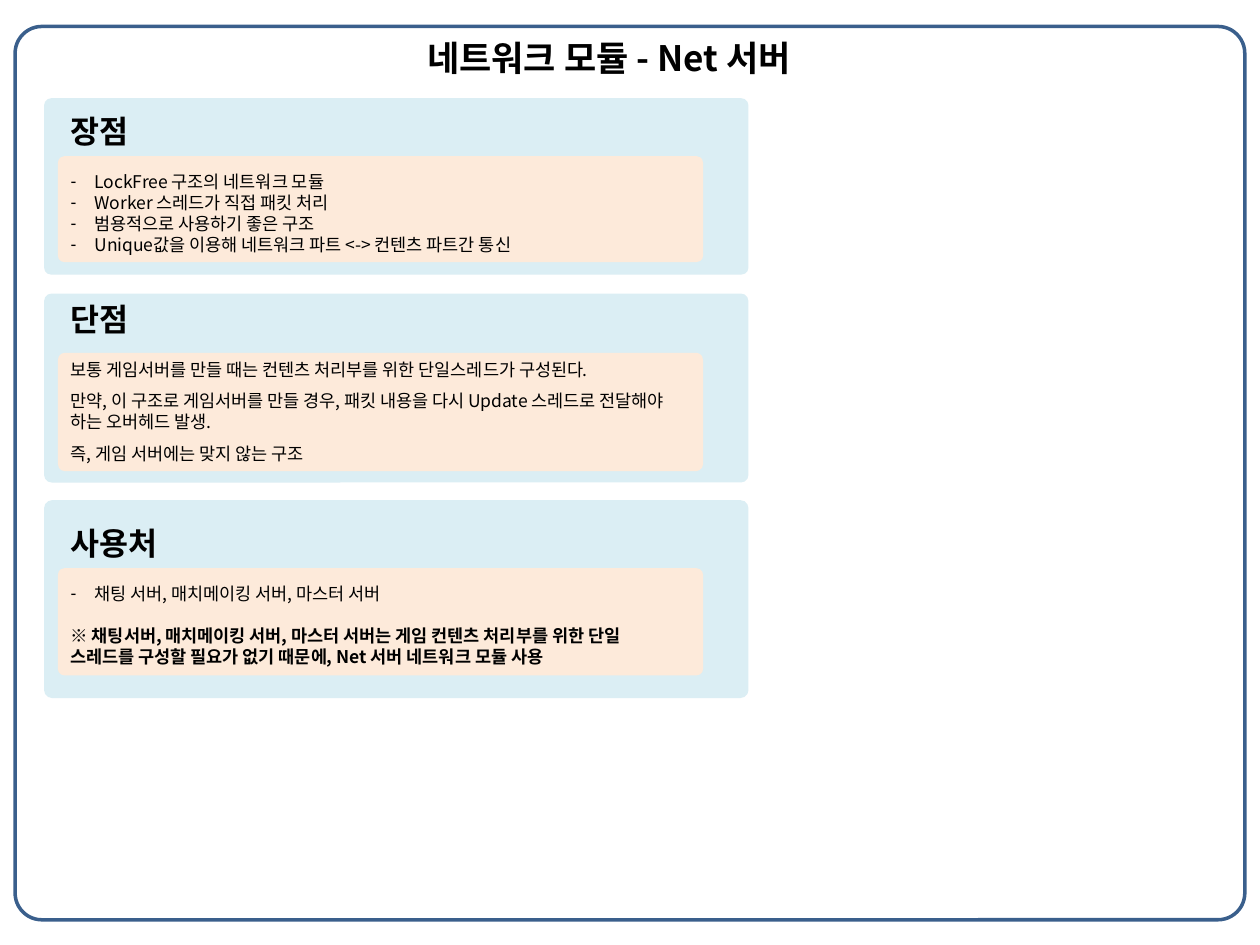
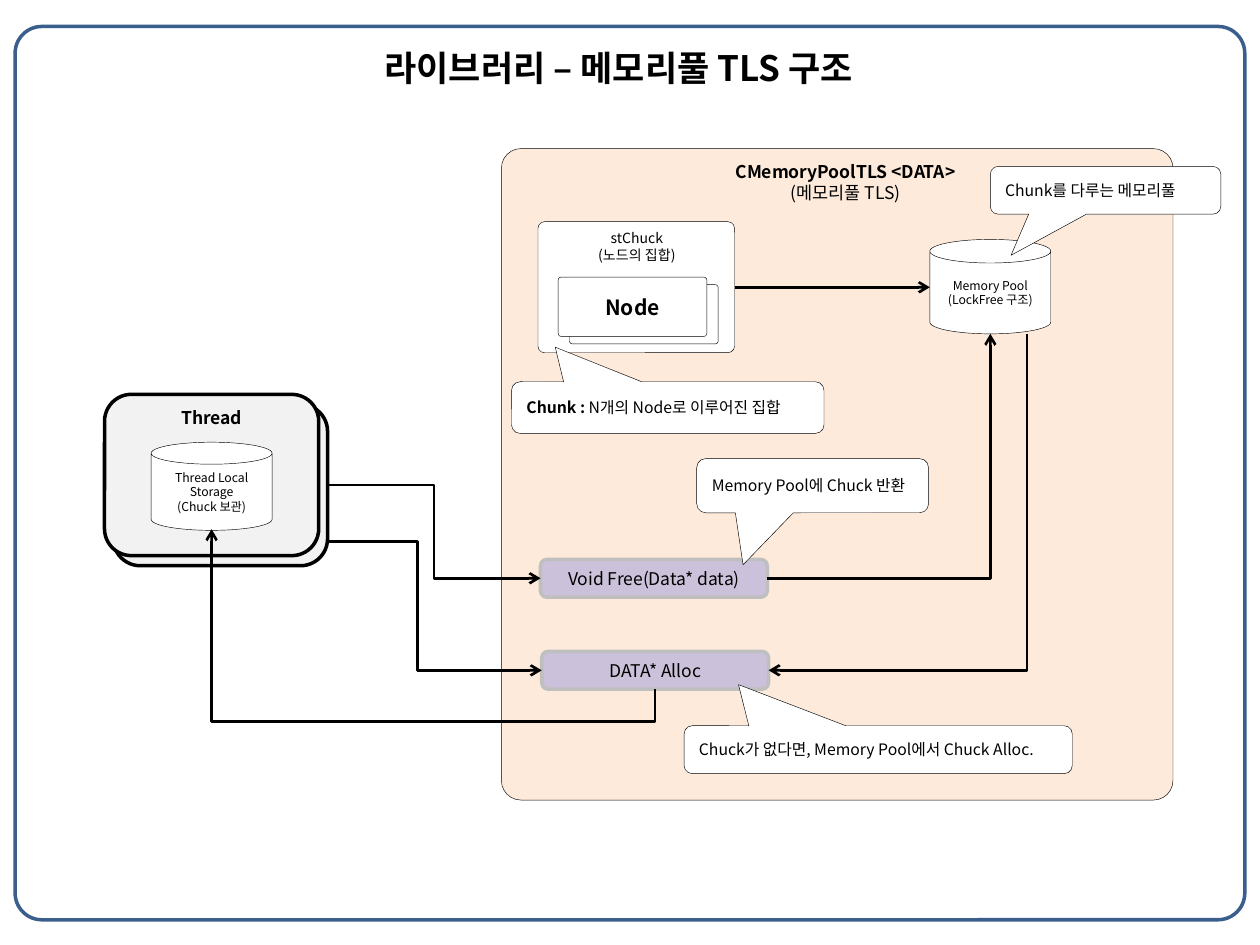
from lxml import etree
from pptx import Presentation
from pptx import util as u
from pptx.dml.color import RGBColor
from pptx.enum import shapes, text
from pptx.oxml.ns import qn

FONT = "Noto Sans CJK KR"
INK = {
    "text": "000000", "white": "FFFFFF", "frame": "3A5F8C", "sky": "DBEEF4",
    "peach": "FDEADA", "gray": "F2F2F2", "lilac": "CCC1DA", "edge": "BFBFBF",
}
KIND = shapes.MSO_SHAPE
ROUND, CAN, CALL = KIND.ROUNDED_RECTANGLE, KIND.CAN, KIND.ROUNDED_RECTANGULAR_CALLOUT
LEFT, MID = text.PP_ALIGN.LEFT, text.PP_ALIGN.CENTER
TOP, CORE = text.MSO_ANCHOR.TOP, text.MSO_ANCHOR.MIDDLE

# Text before "|" is bold; each line is (text, size, space before, dash).
PANELS = [
    {"back": (0.78, 1.4), "card": (1.24, 0.84), "body": (0.84, 1.25), "lines": [
        ("장점|", 18, 0, False),
        ("LockFree 구조의 네트워크 모듈", 10, 12, True),
        ("Worker 스레드가 직접 패킷 처리", 10, 0, True),
        ("범용적으로 사용하기 좋은 구조", 10, 0, True),
        ("Unique값을 이용해 네트워크 파트 <-> 컨텐츠 파트간 통신", 10, 0, True)]},
    {"back": (2.33, 1.5), "card": (2.8, 0.94), "body": (2.33, 1.58), "lines": [
        ("단점|", 18, 0, False),
        ("보통 게임서버를 만들 때는 컨텐츠 처리부를 위한 단일스레드가 구성된다.", 10, 12, False),
        ("만약, 이 구조로 게임서버를 만들 경우, 패킷 내용을 다시 Update 스레드로 "
         "전달해야 하는 오버헤드 발생.", 10, 6, False),
        ("즉, 게임 서버에는 맞지 않는 구조", 10, 6, False)]},
    {"back": (3.97, 1.57), "card": (4.51, 0.85), "body": (4.11, 1.25), "lines": [
        ("사용처|", 18, 0, False),
        ("채팅 서버, 매치메이킹 서버, 마스터 서버", 10, 12, True),
        ("※ 채팅서버, 매치메이킹 서버, 마스터 서버는 게임 컨텐츠 처리부를 위한 단일 "
         "스레드를 구성할 필요가 없기 때문에, Net 서버 네트워크 모듈 사용|", 10, 12, False)]},
]

THREADS = [(0.9, 3.21, 1.7, 1.28), (0.83, 3.13, 1.7, 1.28)]
POOL = (3.98, 1.18, 5.33, 5.17)
CHUNK = (4.27, 1.76, 1.56, 1.04)
NODES = [((4.52, 2.26, 1.18, 0.47), []), ((4.43, 2.2, 1.18, 0.47), ["Node|"])]
CANS = [
    ((1.2, 3.51, 0.96, 0.7), ["Thread Local Storage", "(Chuck 보관)"]),
    ((7.38, 1.9, 0.96, 0.75), ["Memory Pool", "(LockFree 구조)"]),
]
CALLS = [
    ((4.3, 5.17, 1.8, 0.3), "DATA* Alloc"),
    ((4.29, 4.44, 1.8, 0.3), "Void Free(Data* data)"),
]
LABELS = [
    ((1.34, 3.18, 0.78, 0.27), ["Thread|"], 10, LEFT),
    ((5.7, 1.23, 2.02, 0.44), ["CMemoryPoolTLS <DATA>|", "(메모리풀 TLS)"], 10, MID),
    ((4.62, 1.77, 0.87, 0.37), ["stChuck", "(노드의 집합)"], 8, MID),
]
NOTES = [
    ((5.43, 5.76, 3.08, 0.38), (-0.36, -1.36), "Chuck가 없다면, Memory Pool에서 Chuck Alloc."),
    ((5.53, 3.64, 1.84, 0.43), (-0.3, 1.46), "Memory Pool에 Chuck 반환"),
    ((4.06, 3.03, 2.48, 0.41), (-0.36, -1.17), "Chunk : |N개의 Node로 이루어진 집합"),
    ((7.86, 1.32, 1.83, 0.38), (-0.41, 1.36), "Chunk를 다루는 메모리풀"),
]
LINKS = [
    ((2.6, 4.3), (4.3, 5.32), "bentConnector3", 0.42, False),
    ((2.6, 3.85), (4.29, 4.59), "bentConnector3", 0.5, False),
    ((5.2, 5.47), (1.68, 4.2), "bentConnector3", -0.2, True),
    ((6.09, 4.59), (7.86, 2.65), "bentConnector2", None, False),
    ((8.15, 2.65), (6.1, 5.32), "bentConnector2", None, True),
    ((5.83, 2.28), (7.38, 2.28), "line", None, False),
]


def color(name):
    return RGBColor.from_string(INK[name])


def add(node, tag, **attrs):
    return etree.SubElement(node, qn(tag), attrs)


def write(frame, lines, align=LEFT, anchor=TOP, wrap=True):
    frame.word_wrap = wrap
    frame.auto_size = text.MSO_AUTO_SIZE.NONE
    frame.vertical_anchor = anchor
    frame.margin_left = frame.margin_right = u.Inches(0.1)
    frame.margin_top = frame.margin_bottom = u.Inches(0.05)
    for i, (words, size, gap, dash) in enumerate(lines):
        par = frame.add_paragraph() if i else frame.paragraphs[0]
        props = par._p.get_or_add_pPr()
        step = u.Inches(0.19) if dash else 0
        props.set("marL", str(step))
        props.set("indent", str(-step))
        if dash:
            add(props, "a:buChar", char="-")
        else:
            add(props, "a:buNone")
        par.alignment = align
        par.space_before, par.space_after = u.Pt(gap), u.Pt(0)
        par.line_spacing = u.Pt(size * 1.2)
        bold, _, plain = words.rpartition("|")
        for part, heavy in ((bold, True), (plain, False)):
            if part:
                run = par.add_run()
                run.text = part
                run.font.size, run.font.bold = u.Pt(size), heavy
                run.font.color.rgb = color("text")
                run.font.name = FONT
                add(run._r.get_or_add_rPr(), "a:ea", typeface=FONT)


def plain(lines, size):
    return [(line, size, 0, False) for line in lines]


def place(shape, box):
    shape.left, shape.top, shape.width, shape.height = map(u.Inches, box)


def draw(slide, kind, box, fill=None, edge=None, width=0.25, adj=()):
    shape = slide.shapes.add_shape(kind, *map(u.Inches, box))
    shape.shadow.inherit = False
    if fill:
        shape.fill.solid()
        shape.fill.fore_color.rgb = color(fill)
    else:
        shape.fill.background()
    if edge:
        shape.line.color.rgb = color(edge)
        shape.line.width = u.Pt(width)
    else:
        shape.line.fill.background()
    for i, share in enumerate(adj):
        shape.adjustments[i] = share
    return shape


def link(slide, start, end, kind, bend, turned):
    dx, dy = end[0] - start[0], end[1] - start[1]
    mx, my = (start[0] + end[0]) / 2, (start[1] + end[1]) / 2
    if turned:
        dx, dy = dy, -dx
    ends = (mx - dx / 2, my - dy / 2, mx + dx / 2, my + dy / 2)
    line = slide.shapes.add_connector(shapes.MSO_CONNECTOR.ELBOW, *map(u.Inches, ends))
    line.line.color.rgb = color("text")
    line.line.width = u.Pt(1.5)
    props = line._element.spPr
    if turned:
        props.find(qn("a:xfrm")).set("rot", "5400000")
    geom = props.find(qn("a:prstGeom"))
    geom.set("prst", kind)
    if bend is not None:
        add(geom.find(qn("a:avLst")), "a:gd", name="adj1", fmla=f"val {round(bend * 100000)}")
    add(props.find(qn("a:ln")), "a:tailEnd", type="arrow")
    add(props, "a:effectLst")


def begin(deck, layout, title, box):
    slide = deck.slides.add_slide(deck.slide_layouts[layout])
    place(slide.shapes.title, box)
    write(slide.shapes.title.text_frame, plain([title + "|"], 20))
    draw(slide, ROUND, (0.12, 0.21, 9.76, 7.09), None, "frame", 2, [0.03])
    return slide


def review(deck):
    slide = begin(deck, 4, "네트워크 모듈 - Net 서버", (3.29, 0.24, 3.44, 0.44))
    bodies = list(slide.placeholders)[1:]
    for panel, body in zip(PANELS, bodies):
        (y, h), (top, high), (head, tall) = panel["back"], panel["card"], panel["body"]
        draw(slide, ROUND, (0.35, y, 5.59, h), "sky", adj=[0.04])
        draw(slide, ROUND, (0.46, top, 5.12, high), "peach", adj=[0.06])
        place(body, (0.46, head, 5.01, tall))
        write(body.text_frame, panel["lines"])
        slide.shapes._spTree.append(body._element)
    for spare in bodies[len(PANELS):]:
        slide.shapes._spTree.remove(spare._element)


def memory(deck):
    slide = begin(deck, 5, "라이브러리 – 메모리풀 TLS 구조", (2.95, 0.32, 4.29, 0.44))
    for box in THREADS:
        draw(slide, ROUND, box, "gray", "text", 2)
    draw(slide, ROUND, POOL, "peach", "text", adj=[0.03])
    draw(slide, ROUND, CHUNK, "white", "text", adj=[0.05])
    for box, lines in NODES:
        node = draw(slide, ROUND, box, "white", "text", adj=[0.05])
        write(node.text_frame, plain(lines, 12), MID, CORE)
    for box, lines in CANS:
        can = draw(slide, CAN, box, "white", "text")
        write(can.text_frame, plain(lines, 7), MID, CORE)
    for box, words in CALLS:
        call = draw(slide, ROUND, box, "lilac", "edge", 2)
        write(call.text_frame, plain([words], 10), MID, CORE)
    for box, lines, size, align in LABELS:
        label = slide.shapes.add_textbox(*map(u.Inches, box))
        write(label.text_frame, plain(lines, size), align, wrap=align == LEFT)
    for box, tip, words in NOTES:
        note = draw(slide, CALL, box, "white", "text", adj=tip)
        write(note.text_frame, plain([words], 9), LEFT, CORE)
    for route in LINKS:
        link(slide, *route)


def main():
    deck = Presentation()
    deck.slide_width, deck.slide_height = u.Inches(10), u.Inches(7.5)
    review(deck)
    memory(deck)
    deck.save("out.pptx")


if __name__ == "__main__":
    main()
